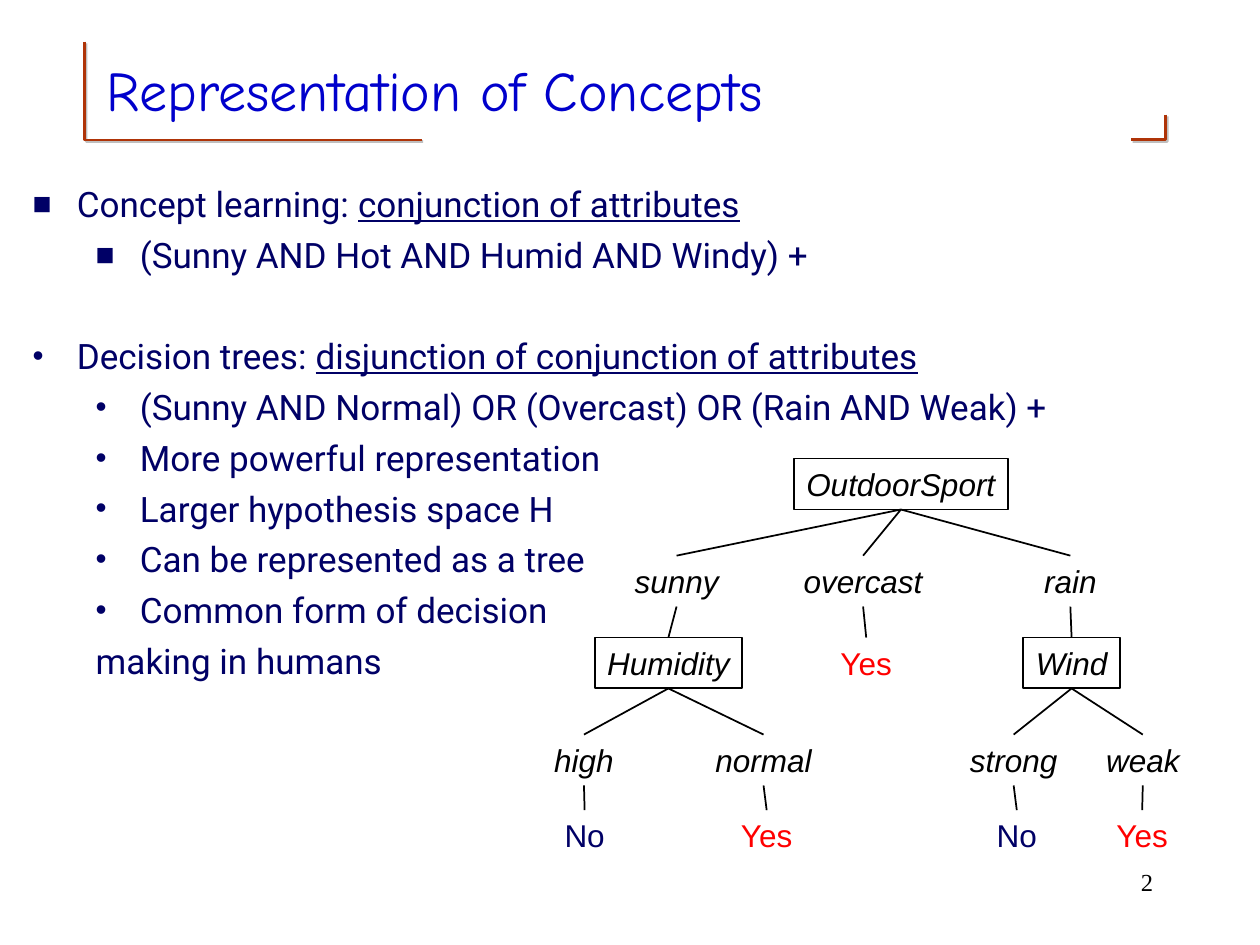
from dataclasses import dataclass

from lxml.etree import SubElement
from pptx import Presentation
from pptx.dml.color import RGBColor
from pptx.enum.shapes import MSO_CONNECTOR, MSO_SHAPE
from pptx.enum.text import MSO_ANCHOR, MSO_AUTO_SIZE, PP_ALIGN
from pptx.oxml.ns import qn
from pptx.util import Inches, Pt

COLUMNS, ROWS = 100, 75
CELL = Inches(0.1)


@dataclass(frozen=True)
class Theme:
    title_color: str = "0000CC"
    body_color: str = "000066"
    rule_color: str = "AF3408"
    shadow_color: str = "808080"
    ink: str = "000000"
    positive: str = "FF0000"
    title_font: str = "Comic Neue"
    body_font: str = "Roboto"
    tree_font: str = "Arial"
    number_font: str = "Times New Roman"
    title_size: float = 32
    body_size: float = 20
    tree_size: float = 18
    number_size: float = 14
    space_before: float = 5
    section_gap: float = 34
    bullet_percent: int = 90
    rule_width: float = 1.5
    tree_line: float = 1
    shadow_distance: float = 1.4


@dataclass(frozen=True)
class Box:
    left: float
    top: float
    width: float
    height: float

    def emu(self):
        return [round(side * CELL) for side in (self.left, self.top, self.width, self.height)]


@dataclass(frozen=True)
class Node:
    label: str
    center: float
    width: float
    children: tuple = ()
    kind: str = "branch"


THEME = Theme()
NODE_HEIGHT = 4.04
NODE_INSET = 0.04
LEVEL_TOPS = (0, 7.7, 14.2, 21.9, 27.9)

BULLETS = (
    (0, "■", "Concept learning: ", "conjunction of attributes"),
    (1, "■", "(Sunny AND Hot AND Humid AND Windy) +", ""),
    (0, "•", "Decision trees: ", "disjunction of conjunction of attributes"),
    (1, "•", "(Sunny AND Normal) OR (Overcast) OR (Rain AND Weak) +", ""),
    (1, "•", "More powerful representation", ""),
    (1, "•", "Larger hypothesis space H", ""),
    (1, "•", "Can be represented as a tree", ""),
    (1, "•", "Common form of decision", ""),
    (1, "", "making in humans", ""),
)


def yes(center):
    return Node("Yes", center, 6.3, kind="yes")


def no(center):
    return Node("No", center, 5.2, kind="no")


HUMIDITY = Node("Humidity", 10.05, 11.7, (
    Node("high", 3.35, 6.7, (no(3.4),)),
    Node("normal", 17.6, 9.6, (yes(17.85),)),
), "test")
WIND = Node("Wind", 42.05, 7.7, (
    Node("strong", 37.45, 8.9, (no(37.7),)),
    Node("weak", 47.7, 7.8, (yes(47.65),)),
), "test")
TREE = Node("OutdoorSport", 28.5, 17, (
    Node("sunny", 10.7, 8.6, (HUMIDITY,)),
    Node("overcast", 25.5, 11.4, (yes(25.75),)),
    Node("rain", 41.95, 6.1, (WIND,)),
), "test")


def style_span(span, font, size, color):
    span.font.name = font
    span.font.size = Pt(size)
    span.font.color.rgb = RGBColor.from_string(color)


def add_text(page, box, side_inset=0.1):
    frame = page.shapes.add_textbox(*box.emu()).text_frame
    frame.word_wrap = True
    frame.margin_left = frame.margin_right = Inches(side_inset)
    return frame


def draw_corner(page, points):
    start, *rest = [(round(x * CELL), round(y * CELL)) for x, y in points]
    builder = page.shapes.build_freeform(*start)
    builder.add_line_segments(rest, close=False)
    corner = builder.convert_to_shape()
    corner.fill.background()
    corner.line.color.rgb = RGBColor.from_string(THEME.rule_color)
    corner.line.width = Pt(THEME.rule_width)
    corner.shadow.inherit = False
    effects = corner.element.spPr.find(qn("a:effectLst"))
    shadow = SubElement(effects, qn("a:outerShdw"), blurRad="0",
                        dist=str(Pt(THEME.shadow_distance)), dir="2700000")
    color = SubElement(shadow, qn("a:srgbClr"), val=THEME.shadow_color)
    SubElement(color, qn("a:alpha"), val="50000")


def draw_title(page, box):
    left, right = box.left - 0.8, box.left + box.width
    top, bottom = box.top + 0.8, box.top + box.height - 0.6
    draw_corner(page, [(left, top), (left, bottom), (left + 26.75, bottom)])
    draw_corner(page, [(right, bottom - 2), (right, bottom), (right - 2.75, bottom)])
    frame = add_text(page, box)
    frame.vertical_anchor = MSO_ANCHOR.MIDDLE
    frame.text = "Representation of Concepts"
    style_span(frame.paragraphs[0].runs[0], THEME.title_font, THEME.title_size, THEME.title_color)


def set_bullet(para, level, symbol):
    properties = para._p.get_or_add_pPr()
    properties.set("marL", str(Inches(0.35 + 0.5 * level)))
    properties.set("indent", str(Inches(-0.35)))
    if not symbol:
        SubElement(properties, qn("a:buNone"))
        return
    color = SubElement(properties, qn("a:buClr"))
    SubElement(color, qn("a:srgbClr"), val=THEME.body_color)
    SubElement(properties, qn("a:buSzPct"), val=str(THEME.bullet_percent * 1000))
    SubElement(properties, qn("a:buFont"), typeface=THEME.tree_font)
    SubElement(properties, qn("a:buChar"), char=symbol)


def draw_bullets(page, box):
    frame = add_text(page, box, 0.09)
    for index, (level, symbol, plain, underlined) in enumerate(BULLETS):
        para = frame.add_paragraph() if index else frame.paragraphs[0]
        para.level = level
        new_section = index and level == 0
        para.space_before = Pt(THEME.section_gap if new_section else THEME.space_before)
        set_bullet(para, level, symbol)
        for words in filter(None, (plain, underlined)):
            span = para.add_run()
            span.text = words
            style_span(span, THEME.body_font, THEME.body_size, THEME.body_color)
            span.font.underline = words == underlined


def draw_node(group, box, node, level):
    place = Box(box.left + node.center - node.width / 2, box.top + LEVEL_TOPS[level],
                node.width, NODE_HEIGHT)
    if node.kind == "test":
        shape = group.shapes.add_shape(MSO_SHAPE.RECTANGLE, *place.emu())
        shape.shadow.inherit = False
        shape.fill.background()
        shape.line.color.rgb = RGBColor.from_string(THEME.ink)
        shape.line.width = Pt(THEME.tree_line)
    else:
        shape = group.shapes.add_textbox(*place.emu())
    frame = shape.text_frame
    frame.text = node.label
    frame.word_wrap = True
    frame.auto_size = MSO_AUTO_SIZE.NONE
    frame.margin_left = frame.margin_right = Inches(NODE_INSET)
    para = frame.paragraphs[0]
    para.alignment = PP_ALIGN.CENTER
    color = {"yes": THEME.positive, "no": THEME.body_color}.get(node.kind, THEME.ink)
    style_span(para.runs[0], THEME.tree_font, THEME.tree_size, color)
    para.runs[0].font.italic = node.kind in ("test", "branch")
    for child in node.children:
        join(group, shape, draw_node(group, box, child, level + 1))
    return shape


def join(group, parent, child):
    edge = group.shapes.add_connector(MSO_CONNECTOR.STRAIGHT, 0, 0, 0, 0)
    edge.begin_connect(parent, 2)
    edge.end_connect(child, 0)
    edge.line.color.rgb = RGBColor.from_string(THEME.ink)
    edge.line.width = Pt(THEME.tree_line)
    SubElement(edge.element.spPr, qn("a:effectLst"))


def draw_number(page, box):
    frame = add_text(page, box)
    frame.text = "2"
    para = frame.paragraphs[0]
    para.alignment = PP_ALIGN.RIGHT
    para.space_before = Pt(8.8)
    style_span(para.runs[0], THEME.number_font, THEME.number_size, THEME.ink)


def main():
    deck = Presentation()
    deck.slide_width, deck.slide_height = COLUMNS * CELL, ROWS * CELL
    page = deck.slides.add_slide(deck.slide_layouts[6])
    draw_title(page, Box(7.5, 2.5, 85, 9.2))
    draw_bullets(page, Box(1.7, 14, 98.3, 22.6))
    draw_number(page, Box(71.7, 68.3, 20.8, 5))
    draw_node(page.shapes.add_group_shape(), Box(43, 36.4, 51.6, 31.9), TREE, 0)
    deck.save("out.pptx")


if __name__ == "__main__":
    main()
